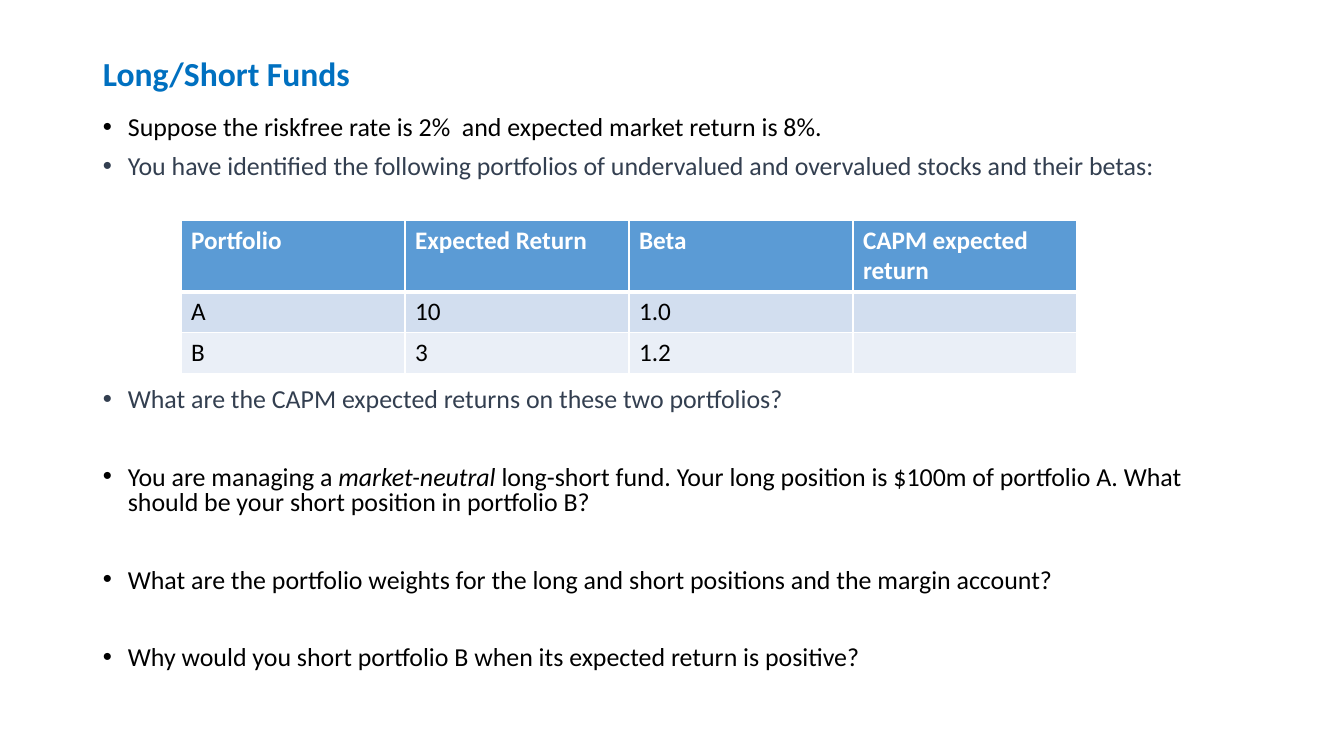
from lxml import etree
from pptx import Presentation
from pptx import util as u
from pptx.dml.color import RGBColor
from pptx.enum import text
from pptx.oxml.ns import qn

BLUE = RGBColor(0x00, 0x70, 0xC0)
BLACK = RGBColor(0x00, 0x00, 0x00)
SLATE = RGBColor(0x33, 0x3F, 0x50)
WHITE = RGBColor(0xFF, 0xFF, 0xFF)
HEADER = RGBColor(0x5B, 0x9B, 0xD5)
BANDS = [RGBColor(0xD2, 0xDE, 0xEF), RGBColor(0xEA, 0xEF, 0xF7)]

FONT = "Calibri"
TITLE = "Long/Short Funds"
BULLETS = [
    (0, SLATE and BLACK, ["Suppose the riskfree rate is 2%  and expected market return is 8%."]),
    (0, SLATE, ["You have identified the following portfolios of undervalued and overvalued stocks and their betas:"]),
    (5, SLATE, ["What are the CAPM expected returns on these two portfolios?"]),
    (1, BLACK, ["You are managing a ", "market-neutral",
                " long-short fund. Your long position is $100m of portfolio A. What should be your short position in portfolio B?"]),
    (1, BLACK, ["What are the portfolio weights for the long and short positions and the margin account?"]),
    (1, BLACK, ["Why would you short portfolio B when its expected return is positive?"]),
]
ITALIC = {"market-neutral"}
ROWS = [
    ("Portfolio", "Expected Return", "Beta", "CAPM expected return"),
    ("A", "10", "1.0", ""),
    ("B", "3", "1.2", ""),
]
ROW_HEIGHTS = [70, 41, 41]
COL_WIDTH = 224
BULLET_SIZE, SPACE_BEFORE, LINE_STEP = 18.5, 10, 27.75
INDENT = 25


def px(n):
    return u.Emu(round(n * 914400 / 100.8))


def add_run(p, words, size, color, bold=False, italic=False):
    r = p.add_run()
    r.text = words
    f = r.font
    f.name, f.size, f.bold, f.italic = FONT, u.Pt(size), bold, italic
    f.color.rgb = color


def add_box(s, x, y, w, h, anchor):
    tf = s.shapes.add_textbox(px(x), px(y), px(w), px(h)).text_frame
    tf.word_wrap = True
    tf.auto_size = text.MSO_AUTO_SIZE.NONE
    tf.vertical_anchor = anchor
    return tf


def add_bullet(p):
    pPr = p._p.get_or_add_pPr()
    pPr.set("marL", str(px(INDENT)))
    pPr.set("indent", str(-px(INDENT)))
    etree.SubElement(pPr, qn("a:buFont"), typeface="Arial")
    etree.SubElement(pPr, qn("a:buChar"), char="•")


def add_borders(cell, bottom):
    tcPr = cell._tc.get_or_add_tcPr()
    for side, width in (("L", 1), ("R", 1), ("T", 1), ("B", bottom)):
        ln = etree.SubElement(tcPr, qn("a:ln" + side), w=str(u.Pt(width)))
        fill = etree.SubElement(ln, qn("a:solidFill"))
        etree.SubElement(fill, qn("a:srgbClr"), val=str(WHITE))


def main():
    prs = Presentation()
    prs.slide_width, prs.slide_height = px(1344), px(756)
    s = prs.slides.add_slide(prs.slide_layouts[6])

    tf = add_box(s, 93, 40, 1159, 72, text.MSO_ANCHOR.MIDDLE)
    p = tf.paragraphs[0]
    p.line_spacing = 0.9
    add_run(p, TITLE, 24, BLUE, bold=True)

    tf = add_box(s, 93, 112, 1159, 594, text.MSO_ANCHOR.TOP)
    for i, (gap, color, runs) in enumerate(BULLETS):
        p = tf.add_paragraph() if i else tf.paragraphs[0]
        p.line_spacing = 0.8
        p.space_before = u.Pt(SPACE_BEFORE + gap * LINE_STEP if i else 0)
        add_bullet(p)
        for words in runs:
            add_run(p, words, BULLET_SIZE, color, italic=words in ITALIC)

    table = s.shapes.add_table(len(ROWS), len(ROWS[0]), px(181), px(220),
                               px(COL_WIDTH * len(ROWS[0])), px(sum(ROW_HEIGHTS))).table
    for col in table.columns:
        col.width = px(COL_WIDTH)
    for i, row in enumerate(ROWS):
        table.rows[i].height = px(ROW_HEIGHTS[i])
        head = i == 0
        for j, words in enumerate(row):
            cell = table.cell(i, j)
            add_borders(cell, 3 if head else 1)
            cell.fill.solid()
            cell.fill.fore_color.rgb = HEADER if head else BANDS[(i - 1) % 2]
            if words:
                add_run(cell.text_frame.paragraphs[0], words, 18,
                        WHITE if head else BLACK, bold=head)

    prs.save("out.pptx")


if __name__ == "__main__":
    main()
